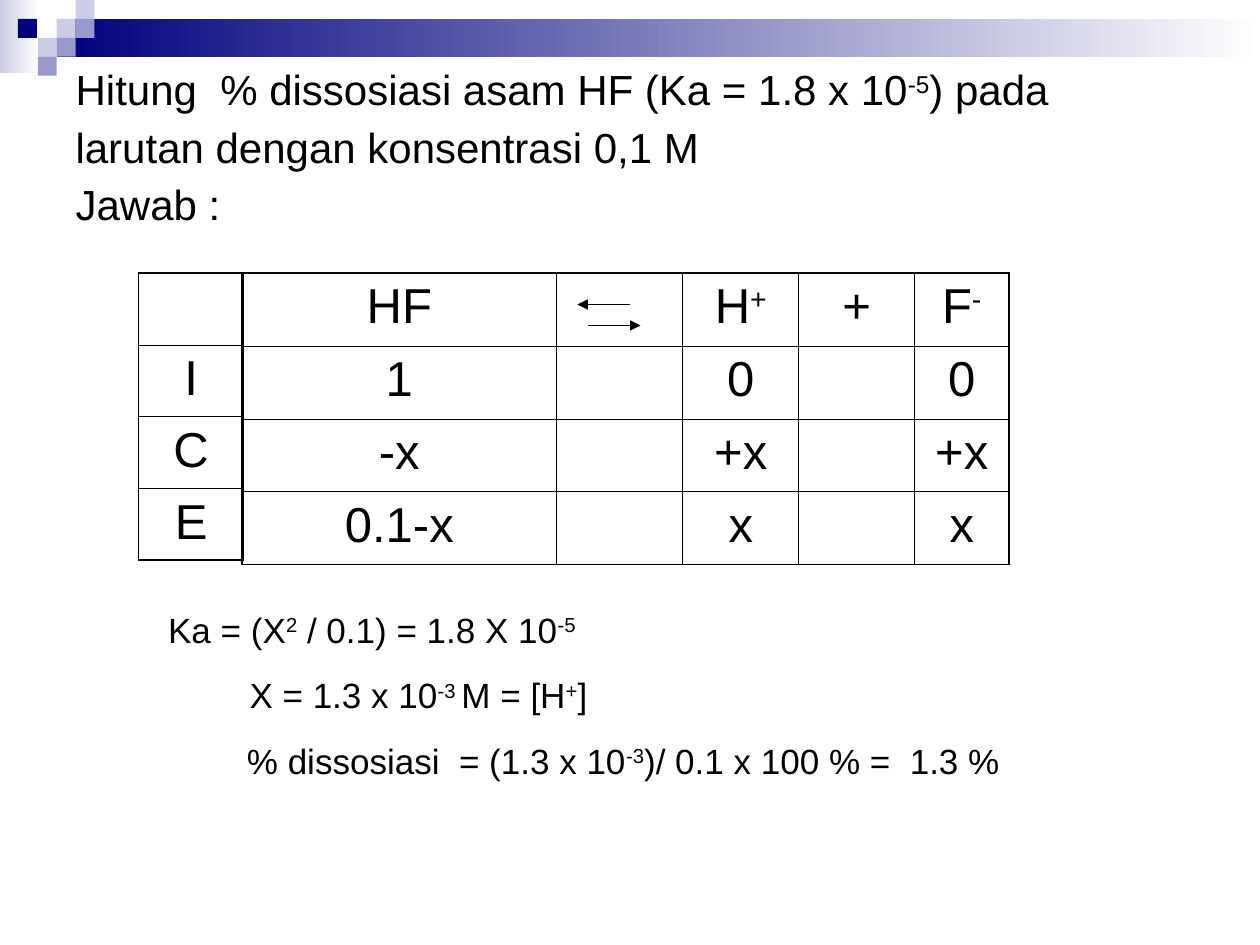
from lxml.etree import SubElement
from pptx import Presentation
from pptx.dml.color import RGBColor
from pptx.enum.shapes import MSO_CONNECTOR as Connector, MSO_SHAPE as Shape
from pptx.enum.text import MSO_ANCHOR as Anchor, MSO_AUTO_SIZE as AutoSize, PP_ALIGN as Align
from pptx.oxml import parse_xml
from pptx.oxml.ns import nsdecls, qn
from pptx.util import Pt

BLACK = RGBColor(0, 0, 0)
WHITE = RGBColor(255, 255, 255)
NAVY = RGBColor(0, 0, 0x7D)
LILAC = RGBColor(0xCC, 0xCC, 0xE6)
VIOLET = RGBColor(0x99, 0x99, 0xCC)

SQUARE = 10.8
SQUARES = [  # column, row, colour
    (1, 1, LILAC), (2, 0, LILAC), (2, 1, VIOLET), (0, 2, LILAC),
    (-1.05, 1, NAVY), (1, 2, VIOLET), (0, 3, VIOLET),
]

# A pair of ^ marks encloses a superscript
QUESTION = [
    "Hitung  % dissosiasi asam HF (Ka = 1.8 x 10^-5^) pada",
    "larutan dengan konsentrasi 0,1 M",
    "Jawab :",
]
CONCENTRATIONS = [
    ["HF", "", "H^+^", "+", "F^-^"],
    ["1", "", "0", "", "0"],
    ["-x", "", "+x", "", "+x"],
    ["0.1-x", "", "x", "", "x"],
]
STAGES = [[""], ["I"], ["C"], ["E"]]
SOLUTION = [  # left indent, line
    (5, "Ka = (X^2^ / 0.1) = 1.8 X 10^-5^"),
    (51.5, "X = 1.3 x 10^-3 ^M = [H^+^]"),
    (50, "% dissosiasi  = (1.3 x 10^-3^)/ 0.1 x 100 % =  1.3 %"),
]
THIN, THICK = 0.45, 1.08


def write(paragraph, text, size, **layout):
    """Fill a paragraph, raising the parts between ^ marks."""
    for name, value in layout.items():
        setattr(paragraph, name, value)
    for index, part in enumerate(text.split("^")):
        if not part:
            continue
        run = paragraph.add_run()
        run.text = part
        for name, value in {"size": Pt(size), "name": "Arial"}.items():
            setattr(run.font, name, value)
        run.font.color.rgb = BLACK
        if index % 2:
            run.font._element.set("baseline", "30000")


def paragraphs(frame, count):
    return [frame.paragraphs[0]] + [frame.add_paragraph() for _ in range(count - 1)]


def add_block(slide, left, top, width, height, color, fade=False):
    block = slide.shapes.add_shape(Shape.RECTANGLE, Pt(left), Pt(top), Pt(width), Pt(height))
    block.shadow.inherit = False
    block.line.fill.background()
    if fade:
        block.fill.gradient()
        block.fill.gradient_angle = 0
        for stop, shade in zip(block.fill.gradient_stops, (color, WHITE)):
            stop.color.rgb = shade
    else:
        block.fill.solid()
        block.fill.fore_color.rgb = color


def fill_question(body):
    body.left, body.top, body.width, body.height = Pt(36), Pt(36), Pt(654), Pt(102)
    frame = body.text_frame
    for name, value in {"word_wrap": True, "auto_size": AutoSize.NONE,
                        "vertical_anchor": Anchor.TOP}.items():
        setattr(frame, name, value)
    for paragraph, line in zip(paragraphs(frame, len(QUESTION)), QUESTION):
        write(paragraph, line, 24, line_spacing=0.9, space_before=Pt(7))
        properties = paragraph._p.get_or_add_pPr()
        properties.set("marL", str(Pt(27)))
        properties.set("indent", str(Pt(-27)))
        SubElement(properties, qn("a:buNone"))


def set_borders(cell, widths):
    properties = cell._tc.get_or_add_tcPr()
    for index, side in enumerate("LRTB"):
        properties.insert(index, parse_xml(
            f'<a:ln{side} {nsdecls("a")} w="{Pt(widths[side])}"><a:solidFill>'
            f'<a:srgbClr val="{BLACK}"/></a:solidFill></a:ln{side}>'))


def add_grid(slide, left, top, column_widths, row_height, rows):
    """Table with a thick outline and thin inner lines."""
    last_row, last_column = len(rows) - 1, len(column_widths) - 1
    table = slide.shapes.add_table(
        len(rows), len(column_widths), Pt(left), Pt(top),
        Pt(sum(column_widths)), Pt(row_height * len(rows))).table
    table.first_row = table.horz_banding = False
    for column, width in zip(table.columns, column_widths):
        column.width = Pt(width)
    for r, texts in enumerate(rows):
        table.rows[r].height = Pt(row_height)
        for c, text in enumerate(texts):
            cell = table.cell(r, c)
            cell.fill.background()
            outer = {"L": c == 0, "R": c == last_column, "T": r == 0, "B": r == last_row}
            set_borders(cell, {side: THICK if edge else THIN for side, edge in outer.items()})
            write(cell.text_frame.paragraphs[0], text, 28, alignment=Align.CENTER)


def add_arrow(slide, start, end, y):
    arrow = slide.shapes.add_connector(Connector.STRAIGHT, Pt(start), Pt(y), Pt(end), Pt(y))
    arrow.line.color.rgb = BLACK
    arrow.line.width = Pt(0.75)
    SubElement(arrow.line._get_or_add_ln(), qn("a:tailEnd"), type="triangle")
    SubElement(arrow._element.spPr, qn("a:effectLst"))


def add_solution(slide):
    frame = slide.shapes.add_textbox(Pt(84), Pt(344), Pt(636), Pt(104.5)).text_frame
    frame.word_wrap = True
    for paragraph, (indent, line) in zip(paragraphs(frame, len(SOLUTION)), SOLUTION):
        write(paragraph, line, 20, space_before=Pt(13.5))
        paragraph._p.get_or_add_pPr().set("marL", str(Pt(indent)))


def main():
    deck = Presentation()
    deck.slide_width, deck.slide_height = Pt(720), Pt(540)
    slide = deck.slides.add_slide(deck.slide_layouts[1])
    title, body = slide.placeholders
    title._element.getparent().remove(title._element)

    # Header band and squares
    add_block(slide, 0, 0, 22.3, 41.8, LILAC, fade=True)
    add_block(slide, 32.4, 10.8, 687.6, 21.6, NAVY, fade=True)
    for column, row, color in SQUARES:
        add_block(slide, 21.6 + column * SQUARE, row * SQUARE, SQUARE, SQUARE, color)

    # Question
    fill_question(body)

    # Equilibrium table with its reversible arrows and stage labels
    add_grid(slide, 138.2, 156.2, [180, 72, 66.2, 66.2, 54], 41.6, CONCENTRATIONS)
    add_arrow(slide, 336, 366, 186)
    add_arrow(slide, 360, 330, 174)
    add_grid(slide, 79.2, 156.2, [60], 41, STAGES)

    # Worked solution
    add_solution(slide)
    deck.save("out.pptx")


if __name__ == "__main__":
    main()
